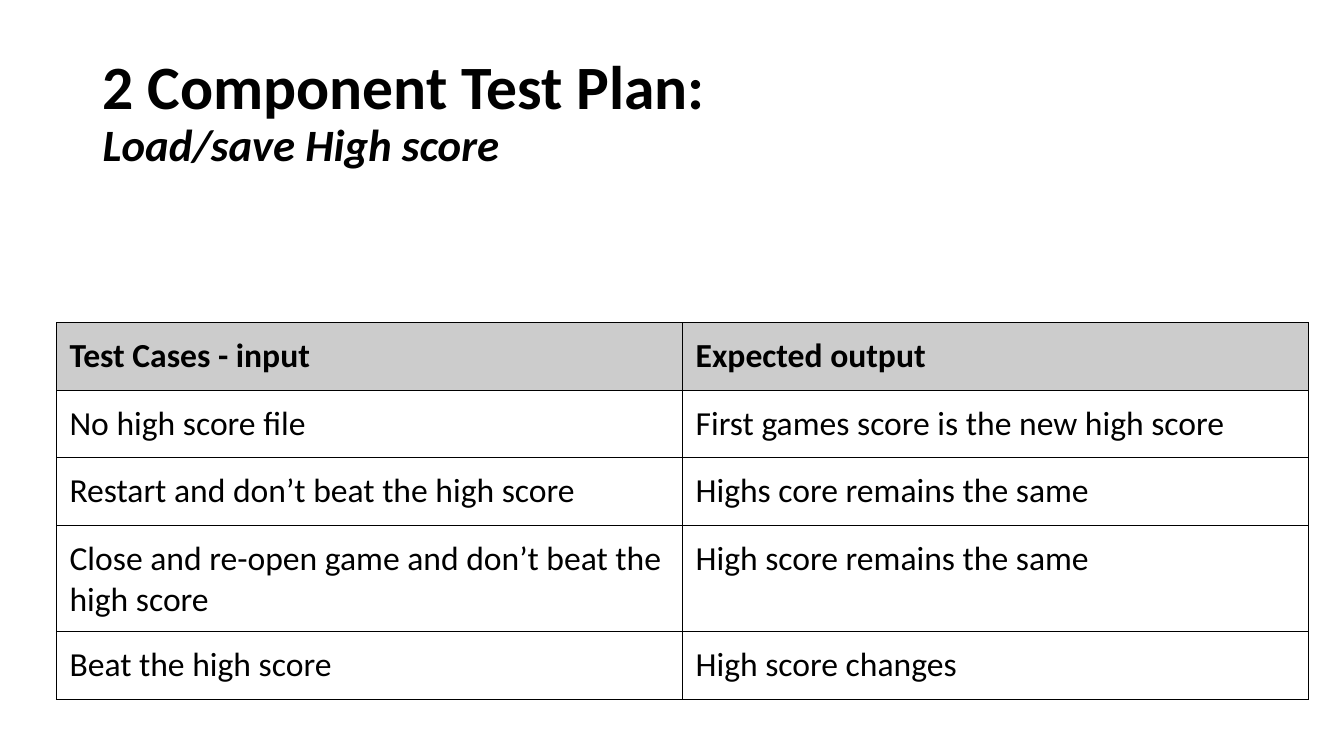
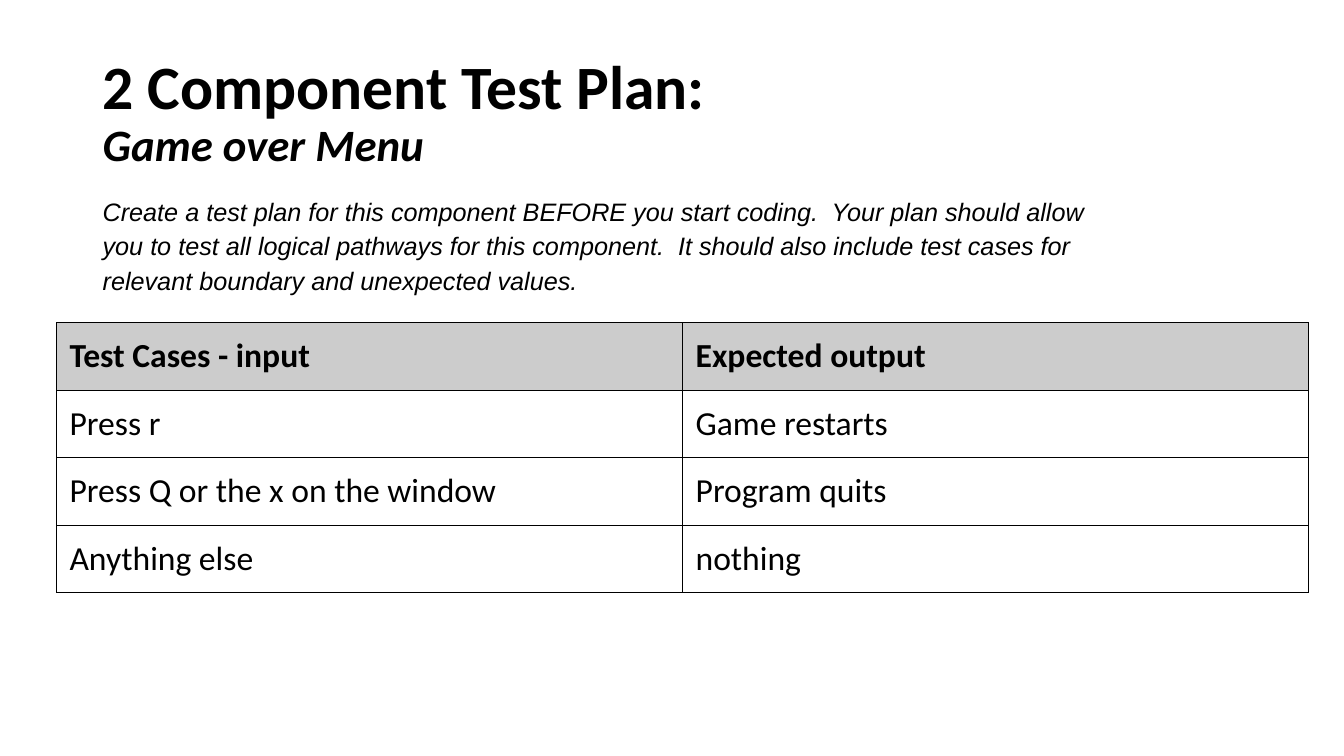
from lxml import etree
from pptx import Presentation
from pptx.dml.color import RGBColor
from pptx.enum import text
from pptx.oxml import ns
from pptx.util import Inches, Pt

BLACK = RGBColor(0x00, 0x00, 0x00)
HEADER_GREY = RGBColor(0xCC, 0xCC, 0xCC)
HEADINGS = ("Test Cases - input", "Expected output")
CELL_MARGIN = Inches(0.13)
ROW_HEIGHT = Inches(0.67)

test_plans = [
    ("Load/save High score", None, [
        ("No high score file", "First games score is the new high score"),
        ("Restart and don’t beat the high score", "Highs core remains the same"),
        ("Close and re-open game and don’t beat the high score",
         "High score remains the same"),
        ("Beat the high score", "High score changes"),
    ]),
    ("Game over Menu",
     "Create a test plan for this component BEFORE you start coding.  "
     "Your plan should allow you to test all logical pathways for this component.  "
     "It should also include test cases for relevant boundary and unexpected values.", [
         ("Press r", "Game restarts"),
         ("Press Q or the x on the window", "Program quits"),
         ("Anything else", "nothing"),
     ]),
]


def add_text_frame(slide, left, top, width, height):
    frame = slide.shapes.add_textbox(left, top, width, height).text_frame
    frame.word_wrap = True
    return frame


def add_borders(cell):
    """Draw a thin black line on all four sides of a table cell."""
    properties = cell._tc.get_or_add_tcPr()
    for position, side in enumerate(("lnL", "lnR", "lnT", "lnB")):
        line = etree.Element(ns.qn(f"a:{side}"), w=str(Pt(0.75)))
        fill = etree.SubElement(line, ns.qn("a:solidFill"))
        etree.SubElement(fill, ns.qn("a:srgbClr"), val=str(BLACK))
        properties.insert(position, line)


prs = Presentation()
prs.slide_width = Inches(13.33)
prs.slide_height = Inches(7.5)

for component, instructions, cases in test_plans:
    slide = prs.slides.add_slide(prs.slide_layouts[6])

    title_frame = add_text_frame(slide, Inches(0.92), Inches(0.4), Inches(11.5), Inches(1.45))
    title_frame.vertical_anchor = text.MSO_ANCHOR.MIDDLE
    title = title_frame.paragraphs[0]
    title.line_spacing = 0.9
    title.font.name = "Calibri"
    title.font.bold = True
    title.font.color.rgb = BLACK
    heading = title.add_run()
    heading.text = "2 Component Test Plan:"
    heading.font.size = Pt(44)
    title.add_line_break()
    subtitle = title.add_run()
    subtitle.text = component
    subtitle.font.size = Pt(32)
    subtitle.font.italic = True

    if instructions:
        guidance_frame = add_text_frame(
            slide, Inches(0.92), Inches(1.85), Inches(10.33), Inches(1.12))
        guidance = guidance_frame.paragraphs[0]
        guidance.text = instructions
        guidance.line_spacing = 1.15
        guidance.font.name = "Arial"
        guidance.font.size = Pt(18)
        guidance.font.italic = True
        guidance.font.color.rgb = BLACK

    rows = [HEADINGS, *cases]
    case_table = slide.shapes.add_table(
        len(rows), len(HEADINGS), Inches(0.56), Inches(3.2),
        Inches(12.42), ROW_HEIGHT * len(rows)).table
    case_table.horz_banding = False
    for row_index, row in enumerate(rows):
        case_table.rows[row_index].height = ROW_HEIGHT
        is_header = row_index == 0
        for column_index, entry in enumerate(row):
            cell = case_table.cell(row_index, column_index)
            cell.margin_left = cell.margin_right = CELL_MARGIN
            cell.margin_top = cell.margin_bottom = CELL_MARGIN
            if is_header:
                cell.fill.solid()
                cell.fill.fore_color.rgb = HEADER_GREY
            else:
                cell.fill.background()
            add_borders(cell)
            paragraph = cell.text_frame.paragraphs[0]
            paragraph.text = entry
            paragraph.font.name = "Calibri"
            paragraph.font.size = Pt(24)
            paragraph.font.bold = is_header
            paragraph.font.color.rgb = BLACK

prs.save("out.pptx")
